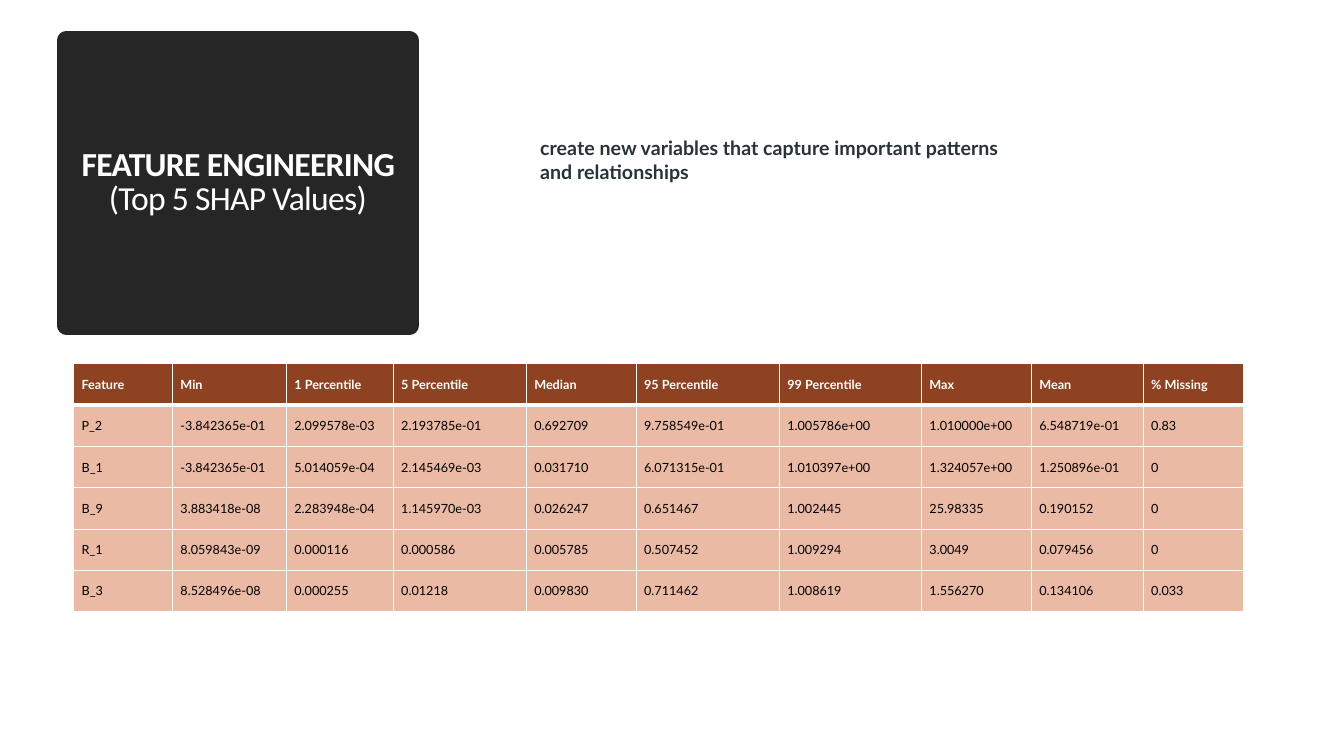
from lxml import etree
from pptx import Presentation
from pptx.dml.color import RGBColor
from pptx.enum.shapes import MSO_SHAPE
from pptx.enum.text import MSO_ANCHOR, PP_ALIGN
from pptx.oxml.ns import qn
from pptx.util import Inches, Pt

RECTANGLE = MSO_SHAPE.RECTANGLE
MIDDLE = MSO_ANCHOR.MIDDLE
CENTER = PP_ALIGN.CENTER

COLORS = {
    "panel": "262626",
    "white": "FFFFFF",
    "black": "000000",
    "header": "8E4221",
    "body": "EABAA5",
    "summary": "273239",
}
TITLE = [("FEATURE ENGINEERING ", True), ("(Top 5 SHAP Values)", False)]
SUMMARY = "create new variables that capture important patterns and relationships"
COLUMN_WIDTHS = [0.98, 1.13, 1.06, 1.32, 1.09, 1.42, 1.41, 1.09, 1.11, 1]
ROW_HEIGHT = 0.41
ROWS = [
    ["Feature", "Min", "1 Percentile", "5 Percentile", "Median",
     "95 Percentile", "99 Percentile", "Max", "Mean", "% Missing"],
    ["P_2", "-3.842365e-01", "2.099578e-03", "2.193785e-01", "0.692709",
     "9.758549e-01", "1.005786e+00", "1.010000e+00", "6.548719e-01", "0.83"],
    ["B_1", "-3.842365e-01", "5.014059e-04", "2.145469e-03", "0.031710",
     "6.071315e-01", "1.010397e+00", "1.324057e+00", "1.250896e-01", "0"],
    ["B_9", "3.883418e-08", "2.283948e-04", "1.145970e-03", "0.026247",
     "0.651467", "1.002445", "25.98335", "0.190152", "0"],
    ["R_1", "8.059843e-09", "0.000116", "0.000586", "0.005785",
     "0.507452", "1.009294", "3.0049", "0.079456", "0"],
    ["B_3", "8.528496e-08", "0.000255", "0.01218", "0.009830",
     "0.711462", "1.008619", "1.556270", "0.134106", "0.033"],
]


def rgb(name):
    return RGBColor.from_string(COLORS[name])


def style_font(font, name, size, color, bold):
    font.name = name
    font.size = Pt(size)
    font.color.rgb = rgb(color)
    font.bold = bold


def add_title_panel(page):
    panel = page.shapes.add_shape(
        RECTANGLE, Inches(0.66), Inches(0.4), Inches(3.4), Inches(2.83))
    panel.shadow.inherit = False
    panel.fill.solid()
    panel.fill.fore_color.rgb = rgb("panel")
    panel.line.color.rgb = rgb("panel")
    panel.line.width = Pt(13.75)
    # The round join of the thick outline gives the panel its soft corners.
    etree.SubElement(panel.line.fill._xPr, qn("a:round"))
    frame = panel.text_frame
    frame.word_wrap = True
    frame.vertical_anchor = MIDDLE
    para = frame.paragraphs[0]
    para.alignment = CENTER
    para.line_spacing = 0.85
    for text, bold in TITLE:
        span = para.add_run()
        span.text = text
        style_font(span.font, "Calibri", 24, "white", bold)
        span.font._element.set("spc", "-50")


def set_borders(cell, widths):
    """Draw white borders; widths maps the sides L, R, T, B to points."""
    properties = cell._tc.get_or_add_tcPr()
    for side, width in widths.items():
        line = etree.SubElement(properties, qn(f"a:ln{side}"), w=str(Pt(width)))
        fill = etree.SubElement(line, qn("a:solidFill"))
        etree.SubElement(fill, qn("a:srgbClr"), val=COLORS["white"])


def add_feature_table(page):
    frame = page.shapes.add_table(
        len(ROWS), len(COLUMN_WIDTHS), Inches(0.73), Inches(3.61),
        Inches(sum(COLUMN_WIDTHS)), Inches(ROW_HEIGHT * len(ROWS)))
    table = frame.table
    for column, width in zip(table.columns, COLUMN_WIDTHS):
        column.width = Inches(width)
    for row_index, values in enumerate(ROWS):
        table.rows[row_index].height = Inches(ROW_HEIGHT)
        is_header = row_index == 0
        widths = {"L": 1, "R": 1, "T": 3 if row_index == 1 else 1,
                  "B": 3 if is_header else 1}
        for column_index, value in enumerate(values):
            cell = table.cell(row_index, column_index)
            cell.text_frame.text = value
            cell.vertical_anchor = MIDDLE
            cell.margin_left = cell.margin_right = Inches(0.08)
            cell.margin_top = cell.margin_bottom = Inches(0.04)
            set_borders(cell, widths)
            cell.fill.solid()
            cell.fill.fore_color.rgb = rgb("header" if is_header else "body")
            style_font(cell.text_frame.paragraphs[0].runs[0].font, "Lato", 9,
                       "white" if is_header else "black", is_header)


def add_summary(page):
    box = page.shapes.add_textbox(
        Inches(5.26), Inches(1.3), Inches(4.84), Inches(0.57))
    frame = box.text_frame
    frame.word_wrap = True
    frame.text = SUMMARY
    style_font(frame.paragraphs[0].runs[0].font, "Lato", 14, "summary", True)


def main():
    deck = Presentation()
    deck.slide_width = Inches(13.33)
    deck.slide_height = Inches(7.5)
    page = deck.slides.add_slide(deck.slide_layouts[6])
    add_title_panel(page)
    add_feature_table(page)
    add_summary(page)
    deck.save("out.pptx")


if __name__ == "__main__":
    main()
